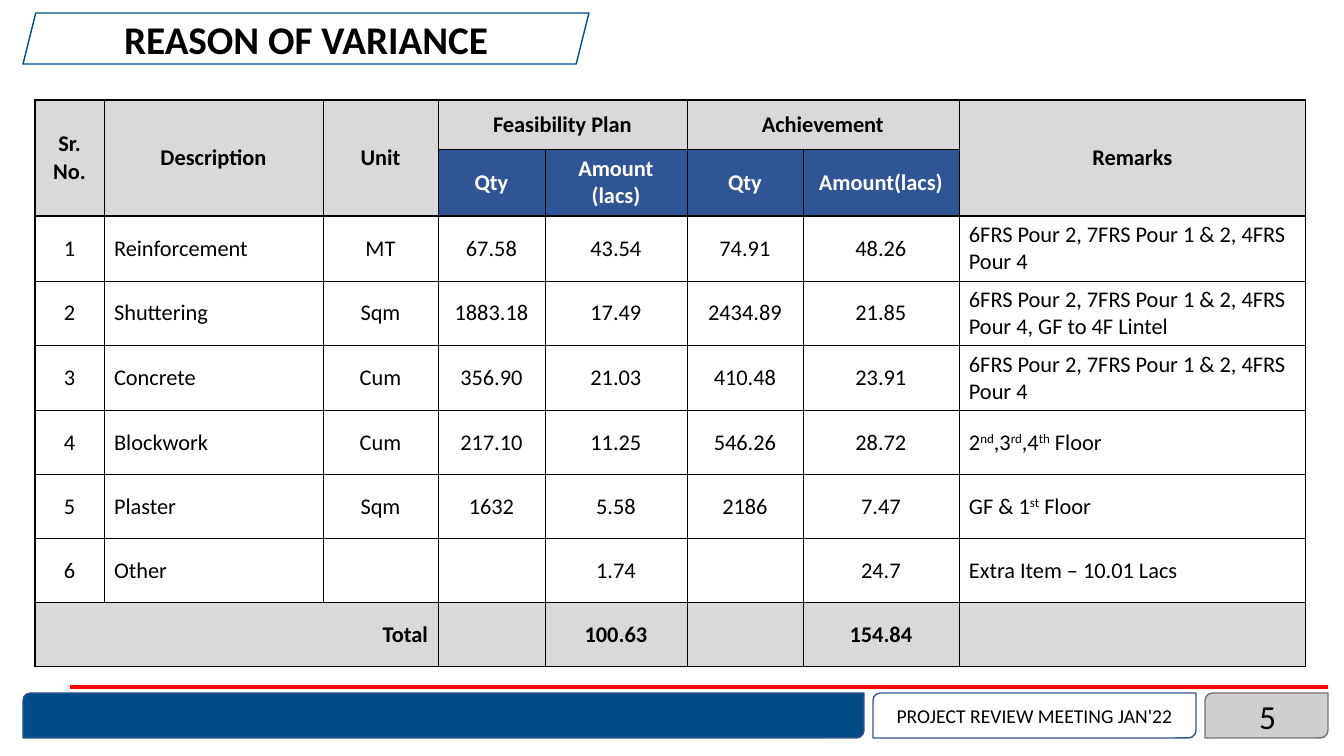
import lxml.etree
import pptx
import pptx.dml.color
import pptx.enum.shapes
import pptx.enum.text
import pptx.oxml.ns
import pptx.util

EMU_PER_PX = 914400 / 100.8
BLACK, WHITE, RED = "000000", "FFFFFF", "FF0000"
NAVY, EDGE_BLUE, HEAD_BLUE = "004C86", "325491", "2F5597"
HEAD_GREY, BADGE_GREY, BADGE_EDGE = "D9D9D9", "D0CECE", "767171"
Preset = pptx.enum.shapes.MSO_SHAPE
Align = pptx.enum.text.PP_ALIGN
Anchor = pptx.enum.text.MSO_ANCHOR

COLUMN_WIDTHS = [69, 219, 115, 107, 142, 116, 156, 347]
ROW_HEIGHTS = [49, 67] + [64] * 7
HEADER_ROWS = 2
# Text between carets is raised.
ROWS = [
    ["Sr. No.", "Description", "Unit", "Feasibility Plan", "", "Achievement", "", "Remarks"],
    ["", "", "", "Qty", "Amount (lacs)", "Qty", "Amount(lacs)", ""],
    ["1", "Reinforcement", "MT", "67.58", "43.54", "74.91", "48.26",
     "6FRS Pour 2, 7FRS Pour 1 & 2, 4FRS Pour 4"],
    ["2", "Shuttering", "Sqm", "1883.18", "17.49", "2434.89", "21.85",
     "6FRS Pour 2, 7FRS Pour 1 & 2, 4FRS Pour 4, GF to 4F Lintel"],
    ["3", "Concrete", "Cum", "356.90", "21.03", "410.48", "23.91",
     "6FRS Pour 2, 7FRS Pour 1 & 2, 4FRS Pour 4"],
    ["4", "Blockwork", "Cum", "217.10", "11.25", "546.26", "28.72",
     "2^nd^,3^rd^,4^th^ Floor"],
    ["5", "Plaster", "Sqm", "1632", "5.58", "2186", "7.47", "GF & 1^st^ Floor"],
    ["6", "Other", "", "", "1.74", "", "24.7", "Extra Item – 10.01 Lacs"],
    ["Total", "", "", "", "100.63", "", "154.84", ""],
]
TOTAL_ROW = len(ROWS) - 1
# First and last cell of each merged block, as (row, column).
MERGES = [((0, column), (1, column)) for column in (0, 1, 2, 7)]
MERGES += [((0, 3), (0, 4)), ((0, 5), (0, 6)), ((TOTAL_ROW, 0), (TOTAL_ROW, 2))]
THICK_ROW_EDGES = {0, HEADER_ROWS, TOTAL_ROW, len(ROWS)}
THICK_COLUMN_EDGES = {0, len(COLUMN_WIDTHS)}


def px(length):
    return pptx.util.Emu(round(length * EMU_PER_PX))


def rgb(value):
    return pptx.dml.color.RGBColor.from_string(value)


def set_fill(fill, color):
    if color:
        fill.solid()
        fill.fore_color.rgb = rgb(color)
    else:
        fill.background()


class SlideBuilder:
    font = "Calibri"

    def __init__(self, page):
        self.page = page

    def set_text(self, frame, text, size, bold=False, color=BLACK, align=Align.CENTER):
        """Fill a text frame with one paragraph, raising the parts between carets."""
        para = frame.paragraphs[0]
        para.alignment = align
        for index, part in enumerate(text.split("^")):
            span = para.add_run()
            span.text = part
            span.font.name = self.font
            span.font.size = pptx.util.Pt(size)
            span.font.bold = bold
            span.font.color.rgb = rgb(color)
            if index % 2:
                span._r.get_or_add_rPr().set("baseline", "30000")

    def title(self, text, left, top, width, height):
        box = self.page.shapes.title
        box.left, box.top, box.width, box.height = map(px, (left, top, width, height))
        box.text_frame.auto_size = pptx.enum.text.MSO_AUTO_SIZE.NONE
        box.text_frame.vertical_anchor = Anchor.MIDDLE
        self.set_text(box.text_frame, text, 28, bold=True)

    def shape(self, preset, left, top, width, height, line, fill=None):
        box = self.page.shapes.add_shape(preset, *map(px, (left, top, width, height)))
        box.shadow.inherit = False
        set_fill(box.fill, fill)
        box.line.color.rgb = rgb(line)
        box.line.width = pptx.util.Pt(1)
        box.text_frame.vertical_anchor = Anchor.MIDDLE
        return box

    def label(self, text, left, top, width, height, size, align):
        box = self.page.shapes.add_textbox(*map(px, (left, top, width, height)))
        box.text_frame.word_wrap = True
        box.text_frame.vertical_anchor = Anchor.MIDDLE
        self.set_text(box.text_frame, text, size, align=align)

    def rule(self, left, right, top, color, weight):
        line = self.page.shapes.add_connector(
            pptx.enum.shapes.MSO_CONNECTOR.STRAIGHT, *map(px, (left, top, right, top)))
        line.line.color.rgb = rgb(color)
        line.line.width = pptx.util.Pt(weight)
        lxml.etree.SubElement(line._element.spPr, pptx.oxml.ns.qn("a:effectLst"))

    def borders(self, cell, row, column):
        """Draw the four cell edges, heavier around the header, total and frame."""
        edges = {
            "L": column in THICK_COLUMN_EDGES,
            "R": column + 1 in THICK_COLUMN_EDGES,
            "T": row in THICK_ROW_EDGES,
            "B": row + 1 in THICK_ROW_EDGES,
        }
        qn = pptx.oxml.ns.qn
        properties = cell._tc.get_or_add_tcPr()
        for side, thick in edges.items():
            weight = pptx.util.Pt(1 if thick else 0.5)
            line = lxml.etree.SubElement(properties, qn(f"a:ln{side}"), w=str(weight))
            fill = lxml.etree.SubElement(line, qn("a:solidFill"))
            lxml.etree.SubElement(fill, qn("a:srgbClr"), val=BLACK)

    def cell(self, cell, text, row, column):
        header, total = row < HEADER_ROWS, row == TOTAL_ROW
        sub_header = row == 1 and 3 <= column <= 6
        align = Align.CENTER
        if total and column == 0:
            align = Align.RIGHT
        elif not header and column in (1, 7):
            align = Align.LEFT
        self.borders(cell, row, column)
        grey = HEAD_GREY if header or total else None
        set_fill(cell.fill, HEAD_BLUE if sub_header else grey)
        cell.vertical_anchor = Anchor.MIDDLE
        self.set_text(cell.text_frame, text, 16, bold=header or total,
                      color=WHITE if sub_header else BLACK, align=align)

    def table(self, left, top):
        size = map(px, (left, top, sum(COLUMN_WIDTHS), sum(ROW_HEIGHTS)))
        table = self.page.shapes.add_table(len(ROWS), len(COLUMN_WIDTHS), *size).table
        table.first_row = table.horz_banding = False
        for column, width in zip(table.columns, COLUMN_WIDTHS):
            column.width = px(width)
        for row, height in zip(table.rows, ROW_HEIGHTS):
            row.height = px(height)
        for row, texts in enumerate(ROWS):
            for column, text in enumerate(texts):
                self.cell(table.cell(row, column), text, row, column)
        for first, last in MERGES:
            table.cell(*first).merge(table.cell(*last))


def main():
    deck = pptx.Presentation()
    deck.slide_width, deck.slide_height = px(1344), px(756)
    builder = SlideBuilder(deck.slides.add_slide(deck.slide_layouts[5]))

    builder.table(35, 100)
    builder.shape(Preset.PARALLELOGRAM, 23, 13, 566, 51, NAVY)
    builder.title("REASON OF VARIANCE", 23, 13, 566, 51)

    tab = Preset.ROUND_2_DIAG_RECTANGLE
    builder.shape(tab, 1205, 693, 123, 45, BADGE_EDGE, BADGE_GREY)
    builder.rule(70, 1328, 687, RED, 2.25)
    builder.label("5", 984, 696, 302, 40, 24, Align.RIGHT)
    builder.shape(tab, 23, 693, 841, 45, EDGE_BLUE, NAVY)
    meeting = builder.shape(tab, 873, 693, 323, 45, EDGE_BLUE)
    builder.set_text(meeting.text_frame, "PROJECT REVIEW MEETING JAN'22", 14)

    deck.save("out.pptx")


if __name__ == "__main__":
    main()
